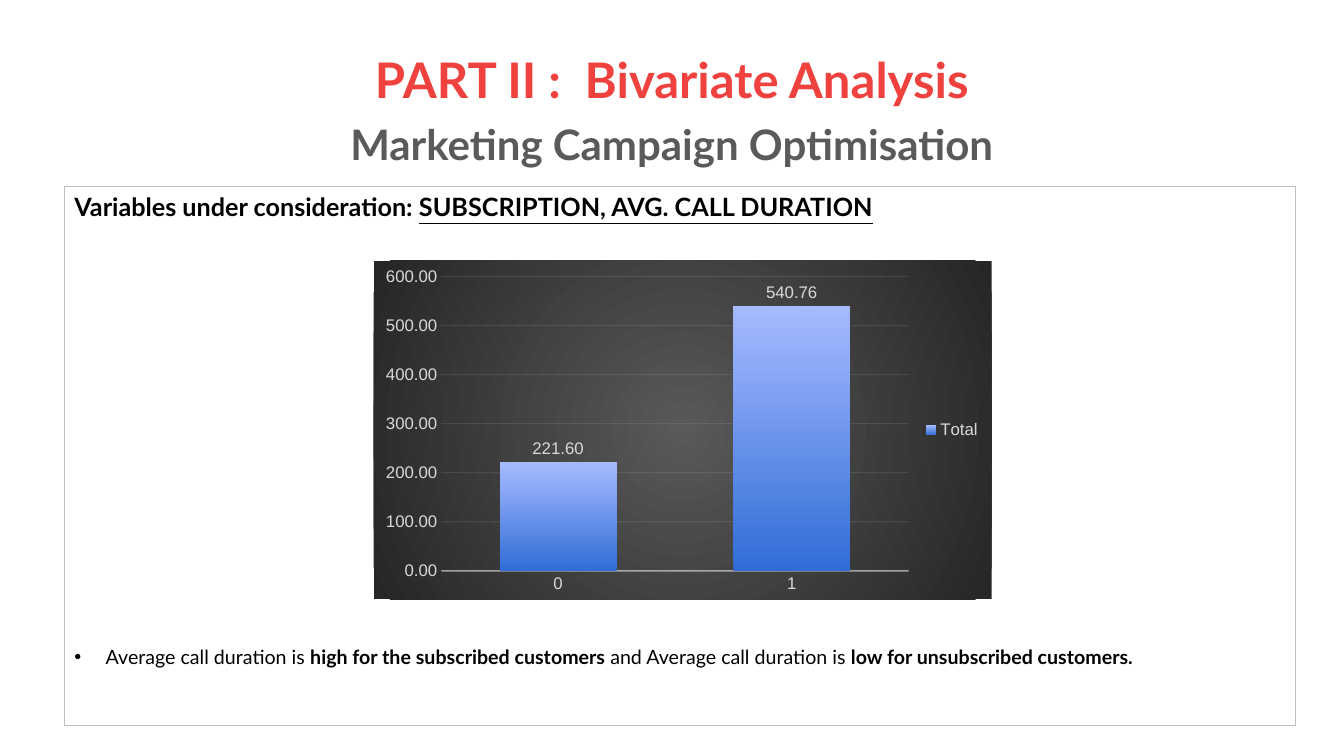
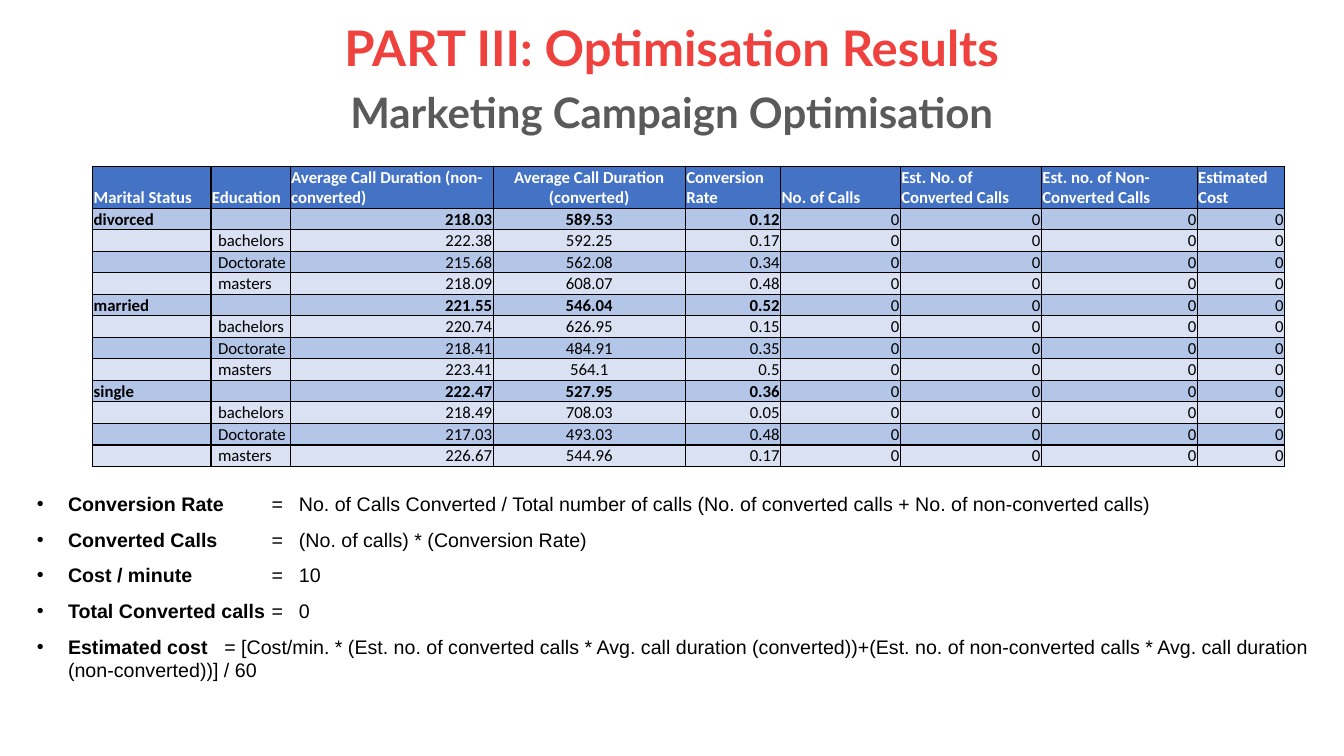
from lxml import etree
from pptx import Presentation
from pptx.chart.data import CategoryChartData
from pptx.dml.color import RGBColor
from pptx.enum.chart import XL_CHART_TYPE, XL_LABEL_POSITION, XL_LEGEND_POSITION, XL_TICK_MARK
from pptx.enum.shapes import MSO_SHAPE
from pptx.enum.text import MSO_ANCHOR, MSO_AUTO_SIZE, PP_ALIGN
from pptx.oxml import parse_xml
from pptx.oxml.ns import nsdecls, qn
from pptx.util import Inches, Pt

RED = RGBColor(0xEF, 0x41, 0x3D)
GREY = RGBColor(0x5A, 0x5A, 0x5A)
BLACK = RGBColor(0, 0, 0)
WHITE = RGBColor(0xFF, 0xFF, 0xFF)
FRAME = RGBColor(0xBF, 0xBF, 0xBF)
CHART_TEXT = RGBColor(0xD9, 0xD9, 0xD9)
CHART_LINE = RGBColor(0xF2, 0xF2, 0xF2)
BAR_BOTTOM = RGBColor(0x31, 0x6D, 0xD7)
BAR_TOP = RGBColor(0xA6, 0xBB, 0xFF)
CHART_CENTRE = RGBColor(0x59, 0x59, 0x59)
CHART_EDGE = RGBColor(0x26, 0x26, 0x26)
HEADER = RGBColor(0x44, 0x72, 0xC4)
BANDS = [RGBColor(0xB4, 0xC6, 0xE7), RGBColor(0xD9, 0xE1, 0xF2)]

prs = Presentation()
prs.slide_width, prs.slide_height = Inches(13.3333), Inches(7.5)
# The grid is 1000 columns by 1000 rows
COL, ROW = prs.slide_width // 1000, prs.slide_height // 1000


def add_run(p, text, size=14, font="Lato", color=BLACK, bold=False, underline=False):
    r = p.add_run()
    r.text = text
    f = r.font
    f.size, f.name, f.bold, f.underline = Pt(size), font, bold, underline
    f.color.rgb = color


def add_bullet(p, tabs=()):
    """Give a paragraph a hanging bullet and left tab stops, in inches."""
    pPr = p._p.get_or_add_pPr()
    pPr.set("marL", str(Inches(0.31)))
    pPr.set("indent", str(-Inches(0.31)))
    color = etree.SubElement(pPr, qn("a:buClr"))
    etree.SubElement(color, qn("a:srgbClr"), val=str(BLACK))
    etree.SubElement(pPr, qn("a:buFont"), typeface="Arial")
    etree.SubElement(pPr, qn("a:buChar"), char="•")
    if tabs:
        stops = etree.SubElement(pPr, qn("a:tabLst"))
        for tab in tabs:
            etree.SubElement(stops, qn("a:tab"), pos=str(Inches(tab)), algn="l")


# Slides and their titles
slides = []
for heading, top, height in [
    ("PART II :  Bivariate Analysis", 53, 193),
    ("PART III: Optimisation Results", 23, 169),
]:
    s = prs.slides.add_slide(prs.slide_layouts[5])
    slides.append(s)
    title = s.shapes.title
    title.left, title.top = 69 * COL, top * ROW
    title.width, title.height = 862 * COL, height * ROW
    tf = title.text_frame
    tf.auto_size = MSO_AUTO_SIZE.NONE
    tf.vertical_anchor = MSO_ANCHOR.MIDDLE
    p = tf.paragraphs[0]
    p.alignment, p.line_spacing = PP_ALIGN.CENTER, 0.9
    add_run(p, heading, size=35, color=RED, bold=True)
    p.add_line_break()
    add_run(p, " ", size=10, color=RED, bold=True)
    p.add_line_break()
    add_run(p, "Marketing Campaign Optimisation", size=30, color=GREY, bold=True)
bivariate, results = slides

# Framed panel with the finding
panel = bivariate.shapes.add_shape(
    MSO_SHAPE.RECTANGLE, 48 * COL, 247 * ROW, 916 * COL, 713 * ROW)
panel.shadow.inherit = False
panel.fill.background()
panel.line.color.rgb, panel.line.width = FRAME, Pt(0.75)
tf = panel.text_frame
tf.vertical_anchor = MSO_ANCHOR.TOP
p = tf.paragraphs[0]
p.alignment = PP_ALIGN.LEFT
add_run(p, "Variables under consideration: ", size=18, bold=True)
add_run(p, "SUBSCRIPTION, AVG. CALL DURATION", size=18, bold=True, underline=True)
p = tf.add_paragraph()
p.alignment, p.space_before = PP_ALIGN.LEFT, Pt(302)
add_bullet(p)
for text, bold in [
    ("Average call duration is ", False),
    ("high for the subscribed customers ", True),
    ("and Average call duration is ", False),
    ("low for unsubscribed customers.", True),
]:
    add_run(p, text, bold=bold)

# Call duration chart
data = CategoryChartData(number_format="0.00")
data.categories = ["0", "1"]
data.add_series("Total", [221.6, 540.76])
chart = bivariate.shapes.add_chart(
    XL_CHART_TYPE.COLUMN_CLUSTERED, 278 * COL, 345 * ROW, 460 * COL, 448 * ROW, data).chart
chart.font.name, chart.font.size = "Arial", Pt(12)
chart.font.color.rgb = CHART_TEXT
chart.has_title = False
chart.has_legend = True
chart.legend.position = XL_LEGEND_POSITION.RIGHT
chart.legend.include_in_layout = False

plot = chart.plots[0]
plot.gap_width, plot.overlap, plot.vary_by_categories = 100, -24, False
fill = plot.series[0].format.fill
fill.gradient()
fill.gradient_angle = 90
for stop, color in zip(fill.gradient_stops, [BAR_BOTTOM, BAR_TOP]):
    stop.color.rgb = color
plot.has_data_labels = True
labels = plot.data_labels
labels.show_value, labels.position = True, XL_LABEL_POSITION.OUTSIDE_END
labels.number_format, labels.number_format_is_linked = "0.00", False

cat_axis, val_axis = chart.category_axis, chart.value_axis
for axis in (cat_axis, val_axis):
    axis.major_tick_mark = axis.minor_tick_mark = XL_TICK_MARK.NONE
cat_axis.format.line.color.rgb, cat_axis.format.line.width = CHART_LINE, Pt(1)
val_axis.minimum_scale, val_axis.maximum_scale, val_axis.major_unit = 0, 600, 100
val_axis.tick_labels.number_format = "0.00"
val_axis.tick_labels.number_format_is_linked = False
val_axis.format.line.fill.background()
grid = val_axis.major_gridlines.format.line
grid.color.rgb, grid.width = CHART_LINE, Pt(0.75)
for xpath, opacity in [
    (".//c:catAx/c:spPr//a:srgbClr", 54000),
    (".//c:majorGridlines//a:srgbClr", 10000),
]:
    for color in chart.element.xpath(xpath):
        etree.SubElement(color, qn("a:alpha"), val=str(opacity))
background = parse_xml(
    f'<c:spPr {nsdecls("c", "a")}><a:gradFill><a:gsLst>'
    f'<a:gs pos="0"><a:srgbClr val="{CHART_CENTRE}"/></a:gs>'
    f'<a:gs pos="100000"><a:srgbClr val="{CHART_EDGE}"/></a:gs></a:gsLst>'
    '<a:path path="circle"><a:fillToRect l="50000" t="50000" r="50000" b="50000"/></a:path>'
    '</a:gradFill><a:ln><a:noFill/></a:ln></c:spPr>')
chart.element.find(qn("c:txPr")).addprevious(background)

# Optimisation table
headers = [
    "Marital Status", "Education", "Average Call Duration (non-converted)",
    "Average Call Duration (converted)", "Conversion Rate", "No. of Calls",
    "Est. No. of Converted Calls", "Est. no. of Non-Converted Calls", "Estimated Cost",
]
measures = [
    ("divorced", "", "218.03", "589.53", "0.12"),
    ("", "bachelors", "222.38", "592.25", "0.17"),
    ("", "Doctorate", "215.68", "562.08", "0.34"),
    ("", "masters", "218.09", "608.07", "0.48"),
    ("married", "", "221.55", "546.04", "0.52"),
    ("", "bachelors", "220.74", "626.95", "0.15"),
    ("", "Doctorate", "218.41", "484.91", "0.35"),
    ("", "masters", "223.41", "564.1", "0.5"),
    ("single", "", "222.47", "527.95", "0.36"),
    ("", "bachelors", "218.49", "708.03", "0.05"),
    ("", "Doctorate", "217.03", "493.03", "0.48"),
    ("", "masters", "226.67", "544.96", "0.17"),
]
rows = [headers] + [[*m, "0", "0", "0", "0"] for m in measures]
widths = [88, 59, 151, 143, 71, 89, 105, 116, 65]
heights = [55] + [28] * len(measures)
aligns = [PP_ALIGN.LEFT] * 2 + [PP_ALIGN.RIGHT, PP_ALIGN.CENTER] + [PP_ALIGN.RIGHT] * 5
table = results.shapes.add_table(
    len(rows), len(widths), 69 * COL, 220 * ROW, sum(widths) * COL, sum(heights) * ROW).table
for column, width in zip(table.columns, widths):
    column.width = width * COL
for row, height in zip(table.rows, heights):
    row.height = height * ROW
for i, row in enumerate(rows):
    for j, text in enumerate(row):
        is_header = i == 0
        cell = table.cell(i, j)
        cell.vertical_anchor = MSO_ANCHOR.BOTTOM
        cell.margin_left = Inches(0.07 if j == 1 and not is_header else 0.01)
        cell.margin_right = cell.margin_top = Inches(0.01)
        cell.margin_bottom = 0
        p = cell.text_frame.paragraphs[0]
        p.alignment = PP_ALIGN.LEFT if is_header and j != 3 else aligns[j]
        if text:
            add_run(p, text, size=12, font="Calibri", color=WHITE if is_header else BLACK,
                    bold=is_header or (row[0] != "" and j < 5))
        else:
            p._p.get_or_add_endParaRPr().set("sz", "1200")
        tcPr = cell._tc.get_or_add_tcPr()
        for side in ("a:lnL", "a:lnR", "a:lnT", "a:lnB"):
            border = etree.SubElement(tcPr, qn(side), w=str(Pt(1)))
            solid = etree.SubElement(border, qn("a:solidFill"))
            etree.SubElement(solid, qn("a:srgbClr"), val=str(BLACK))
        cell.fill.solid()
        cell.fill.fore_color.rgb = HEADER if is_header else BANDS[(i - 1) % 2]

# Formulas
tf = results.shapes.add_textbox(20 * COL, 644 * ROW, 964 * COL, 259 * ROW).text_frame
tf.word_wrap = True
wide, narrow = (2.33, 2.6), (1.86,)
for i, (term, formula, tabs) in enumerate([
    ("Conversion Rate", "\t=\tNo. of Calls Converted / Total number of calls "
     "(No. of converted calls + No. of non-converted calls)", wide),
    ("Converted Calls", "\t=\t(No. of calls) * (Conversion Rate)", wide),
    ("Cost / minute", "\t=\t10", wide),
    ("Total Converted calls", "\t=\t0", wide),
    ("Estimated cost", "\t= [Cost/min. * (Est. no. of converted calls * Avg. call duration "
     "(converted))+(Est. no. of non-converted calls * Avg. call duration "
     "(non-converted))] / 60", narrow),
]):
    p = tf.add_paragraph() if i else tf.paragraphs[0]
    p.space_before = Pt(8.7 if i else 0)
    add_bullet(p, tabs)
    add_run(p, term, font="Arial", bold=True)
    add_run(p, formula, font="Arial")

prs.save("out.pptx")
